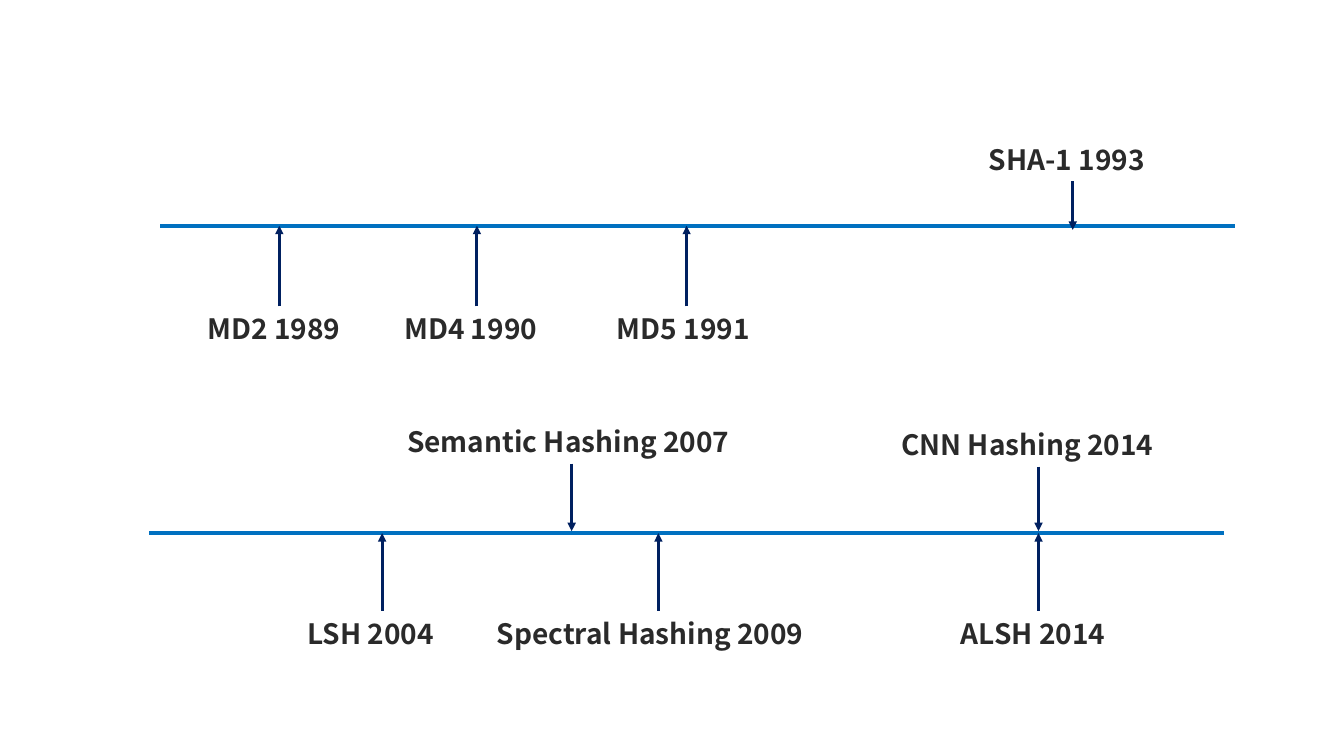
"""Two timelines of hashing methods, with an arrow from each label to its line."""
from lxml import etree
from pptx import Presentation
from pptx.dml.color import RGBColor
from pptx.enum.shapes import MSO_CONNECTOR
from pptx.enum.text import MSO_ANCHOR, PP_ALIGN
from pptx.oxml.ns import qn
from pptx.util import Inches, Pt

STRAIGHT = MSO_CONNECTOR.STRAIGHT
MIDDLE = MSO_ANCHOR.MIDDLE
JUSTIFY = PP_ALIGN.JUSTIFY
TOP_SIDE, BOTTOM_SIDE = 0, 2


def color(hex_code):
    return RGBColor.from_string(hex_code)


TIMELINES = [
    {"left": 1.59, "y": 2.24, "events": [
        ("MD2 1989", 1.96, 3.04, 2.77, 2.24),
        ("MD4 1990", 3.91, 3.04, 4.73, 2.24),
        ("MD5 1991", 6.02, 3.04, 6.81, 2.24),
        ("SHA-1 1993", 9.71, 1.36, 10.64, 2.28),
    ]},
    {"left": 1.48, "y": 5.29, "events": [
        ("LSH 2004", 2.95, 6.06, 3.79, 5.29),
        ("Semantic Hashing 2007", 3.94, 4.16, 5.67, 5.27),
        ("Spectral Hashing 2009", 4.83, 6.06, 6.53, 5.29),
        ("CNN Hashing 2014", 8.84, 4.19, 10.3, 5.27),
        ("ALSH 2014", 9.43, 6.06, 10.3, 5.29),
    ]},
]
TIMELINE_LENGTH = 10.66
LABEL_HEIGHT = 0.44
LABEL_FONT = {"name": "Noto Sans CJK SC", "size": Pt(20), "bold": True}
LABEL_COLOR, TIMELINE_COLOR, ARROW_COLOR = "2A2A2A", "0070C0", "002060"


def add_line(slide, start, end, hex_code, width):
    line = slide.shapes.add_connector(STRAIGHT, *map(Inches, start + end))
    line.line.color.rgb = color(hex_code)
    line.line.width = Pt(width)
    etree.SubElement(line._element.spPr, qn("a:effectLst"))
    return line


def add_label(slide, text, left, top, width):
    label = slide.shapes.add_textbox(*map(Inches, (left, top, width, LABEL_HEIGHT)))
    frame = label.text_frame
    frame.word_wrap = True
    frame.vertical_anchor = MIDDLE
    paragraph = frame.paragraphs[0]
    paragraph.alignment = JUSTIFY
    run = paragraph.add_run()
    run.text = text
    for attribute, value in LABEL_FONT.items():
        setattr(run.font, attribute, value)
    run.font.color.rgb = color(LABEL_COLOR)
    return label


def add_event(slide, text, left, top, arrow_x, tip_y):
    label = add_label(slide, text, left, top, 2 * (arrow_x - left))
    is_below = top > tip_y
    start_y = top if is_below else top + LABEL_HEIGHT
    arrow = add_line(slide, (arrow_x, start_y), (arrow_x, tip_y), ARROW_COLOR, 2)
    arrow.begin_connect(label, TOP_SIDE if is_below else BOTTOM_SIDE)
    etree.SubElement(arrow.line._get_or_add_ln(), qn("a:tailEnd"), type="triangle")


def main():
    deck = Presentation()
    deck.slide_width, deck.slide_height = Inches(13.33), Inches(7.5)
    slide = deck.slides.add_slide(deck.slide_layouts[6])
    for timeline in TIMELINES:
        left, y = timeline["left"], timeline["y"]
        add_line(slide, (left, y), (left + TIMELINE_LENGTH, y), TIMELINE_COLOR, 3)
        for event in timeline["events"]:
            add_event(slide, *event)
    deck.save("out.pptx")


if __name__ == "__main__":
    main()
